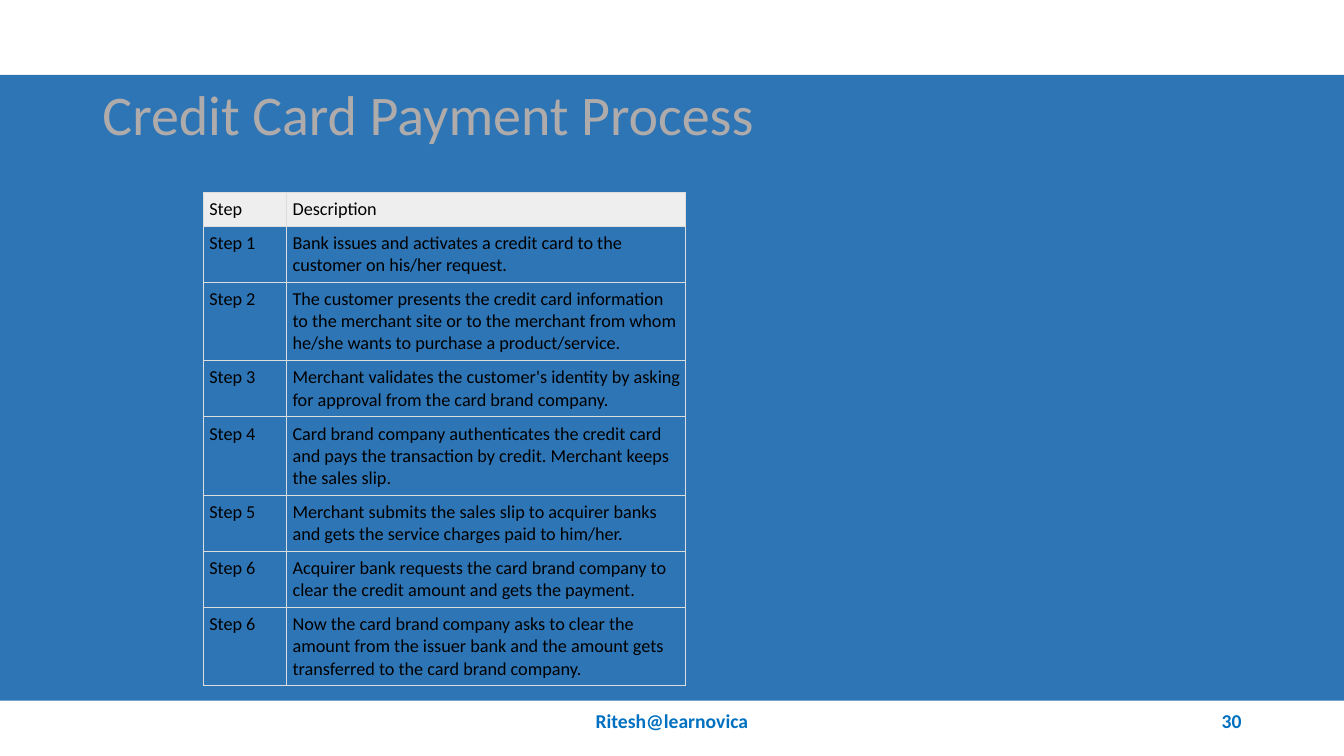
from lxml import etree
from pptx import Presentation
from pptx.dml.color import RGBColor
from pptx.enum import shapes, text
from pptx.oxml import ns
from pptx.util import Pt

COLORS = {"panel": "2E75B6", "title": "AFABAB", "header": "EEEEEE",
          "border": "DDDDDD", "body": "000000", "footer": "0070C0"}


def add_run(paragraph, words, size, color, bold=False):
    run = paragraph.add_run()
    run.text = words
    run.font.name = "Calibri"
    run.font.size = Pt(size)
    run.font.bold = bold
    run.font.color.rgb = RGBColor.from_string(COLORS[color])


def add_borders(cell):
    properties = cell._tc.get_or_add_tcPr()
    for position, side in enumerate(("lnL", "lnR", "lnT", "lnB")):
        line = etree.Element(ns.qn(f"a:{side}"), w=str(Pt(0.75)))
        fill = etree.SubElement(line, ns.qn("a:solidFill"))
        etree.SubElement(fill, ns.qn("a:srgbClr"), val=COLORS["border"])
        properties.insert(position, line)


deck = Presentation()
deck.slide_width, deck.slide_height = Pt(960), Pt(540)
slide = deck.slides.add_slide(deck.slide_layouts[5])

# Title
title = slide.shapes.title
title.left, title.top, title.width, title.height = Pt(66), Pt(53.5), Pt(828), Pt(61)
title.text_frame.vertical_anchor = text.MSO_ANCHOR.MIDDLE
heading = title.text_frame.paragraphs[0]
heading.alignment = text.PP_ALIGN.LEFT
heading.line_spacing = 0.9
add_run(heading, "Credit Card Payment Process", 40, "title")

# Blue panel, placed behind the title
panel = slide.shapes.add_shape(shapes.MSO_SHAPE.RECTANGLE, 0, Pt(53.5), Pt(960), Pt(447))
panel.shadow.inherit = False
panel.fill.solid()
panel.fill.fore_color.rgb = RGBColor.from_string(COLORS["panel"])
panel.line.fill.background()
title.element.addprevious(panel.element)

# Table of payment steps: label, description, row height
steps = [
    ("Step", "Description", 24),
    ("Step 1", "Bank issues and activates a credit card to the customer on "
               "his/her request.", 39),
    ("Step 2", "The customer presents the credit card information to the merchant "
               "site or to the merchant from whom he/she wants to purchase a "
               "product/service.", 54),
    ("Step 3", "Merchant validates the customer's identity by asking for approval "
               "from the card brand company.", 39),
    ("Step 4", "Card brand company authenticates the credit card and pays the "
               "transaction by credit. Merchant keeps the sales slip.", 54),
    ("Step 5", "Merchant submits the sales slip to acquirer banks and gets the "
               "service charges paid to him/her.", 39),
    ("Step 6", "Acquirer bank requests the card brand company to clear the credit "
               "amount and gets the payment.", 39),
    ("Step 6", "Now the card brand company asks to clear the amount from the issuer "
               "bank and the amount gets transferred to the card brand company.", 54),
]
process = slide.shapes.add_table(len(steps), 2, Pt(145.3), Pt(137.3),
                                 Pt(344.5), Pt(342)).table
process.first_row = process.horz_banding = False
process.columns[0].width, process.columns[1].width = Pt(59.5), Pt(285)

for row, (label, description, height) in enumerate(steps):
    process.rows[row].height = Pt(height)
    for column, words in enumerate((label, description)):
        cell = process.cell(row, column)
        cell.margin_left = cell.margin_right = Pt(4.2)
        cell.margin_top = cell.margin_bottom = Pt(4.2)
        if row == 0:
            cell.fill.solid()
            cell.fill.fore_color.rgb = RGBColor.from_string(COLORS["header"])
        else:
            cell.fill.background()
        add_borders(cell)
        add_run(cell.text_frame.paragraphs[0], words, 13, "body")

# Footer and slide number
for words, left, width, alignment in (
        ("Ritesh@learnovica", 318, 324, text.PP_ALIGN.CENTER),
        ("30", 678, 216, text.PP_ALIGN.RIGHT)):
    footer = slide.shapes.add_textbox(Pt(left), Pt(500.5), Pt(width), Pt(28.8)).text_frame
    footer.word_wrap = True
    footer.vertical_anchor = text.MSO_ANCHOR.MIDDLE
    footer.paragraphs[0].alignment = alignment
    add_run(footer.paragraphs[0], words, 14, "footer", bold=True)

deck.save("out.pptx")
